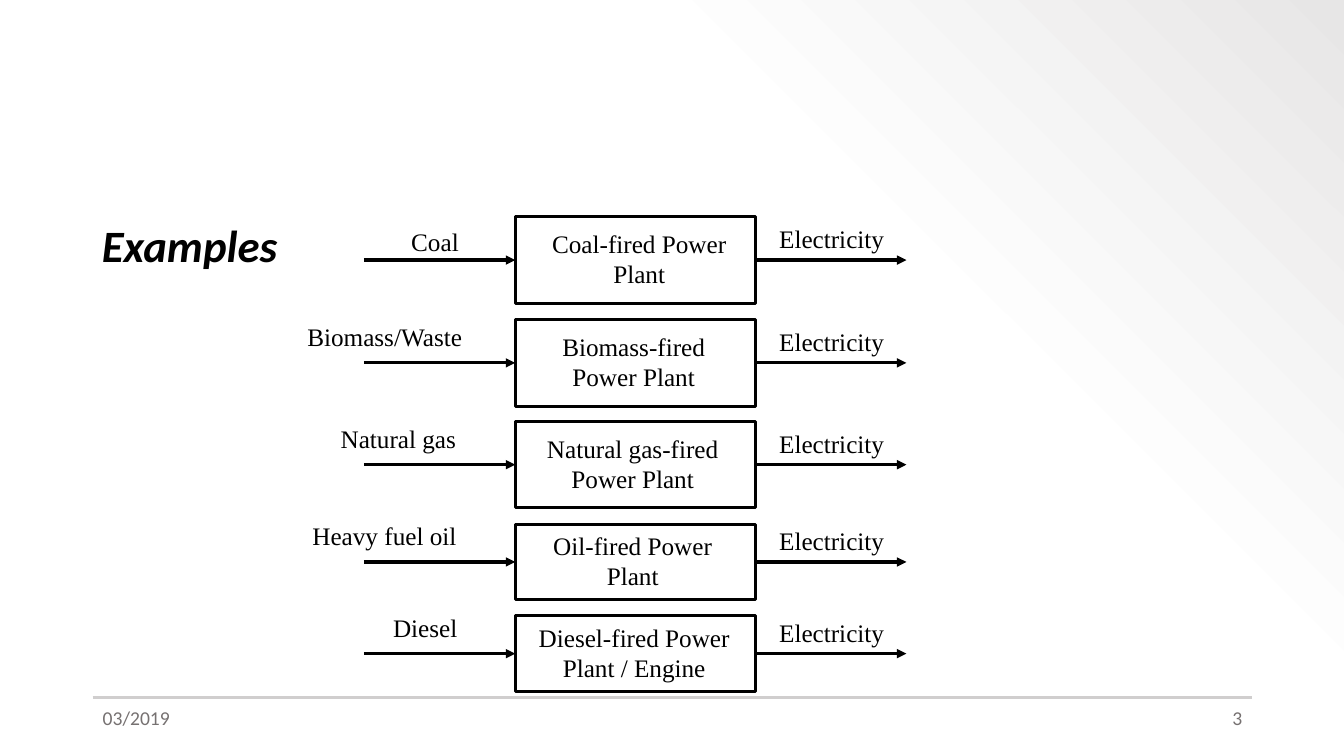
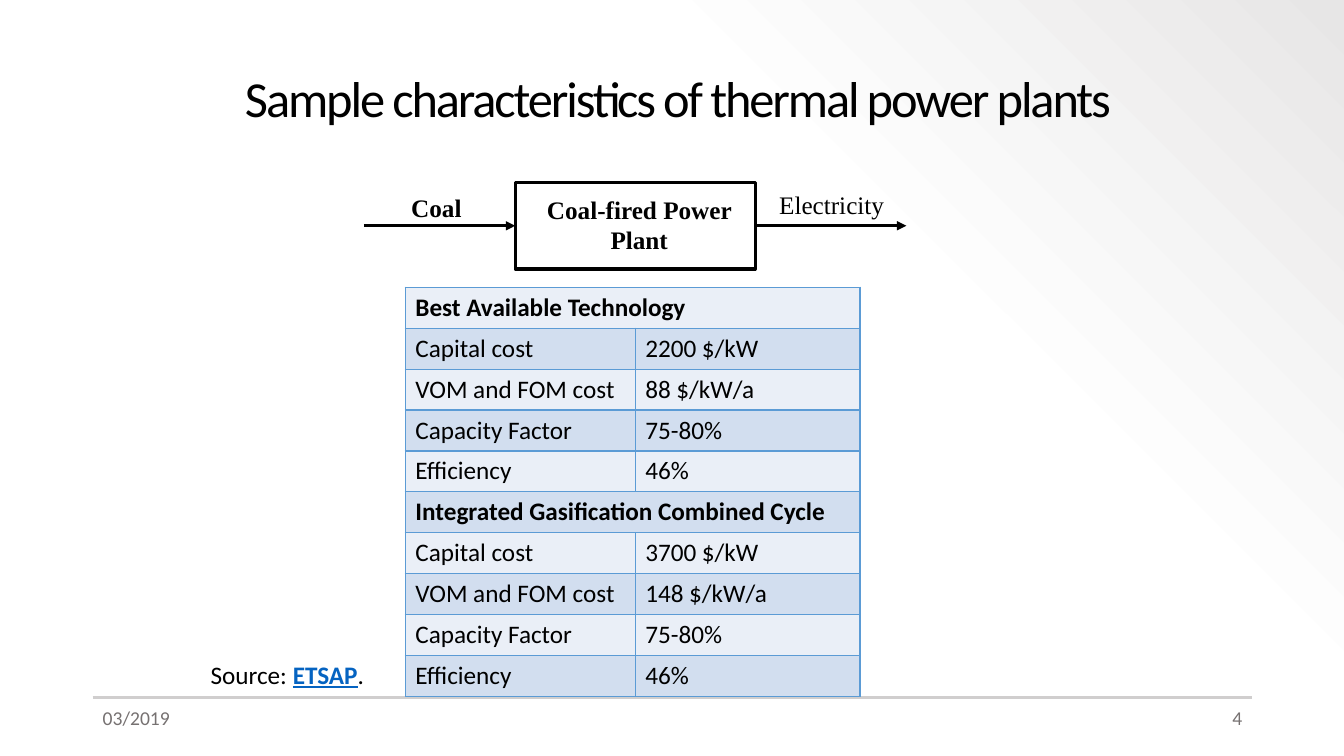
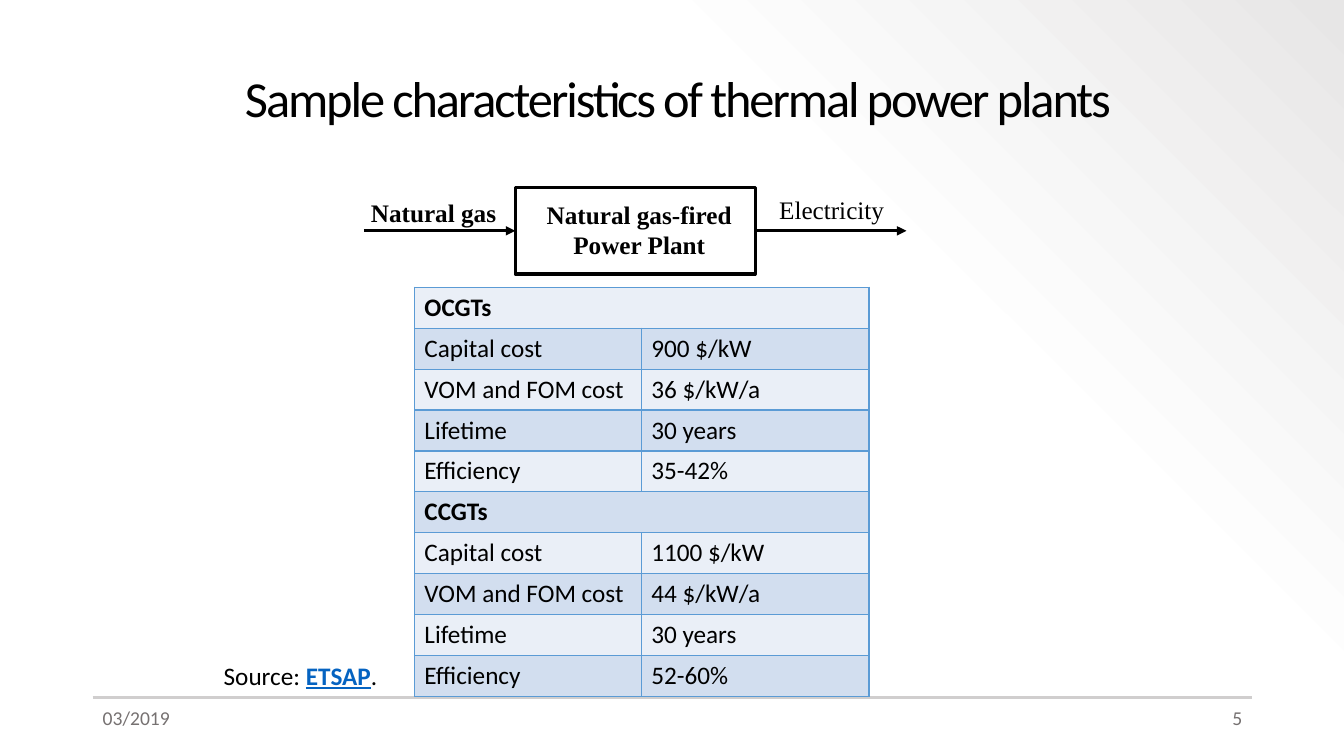
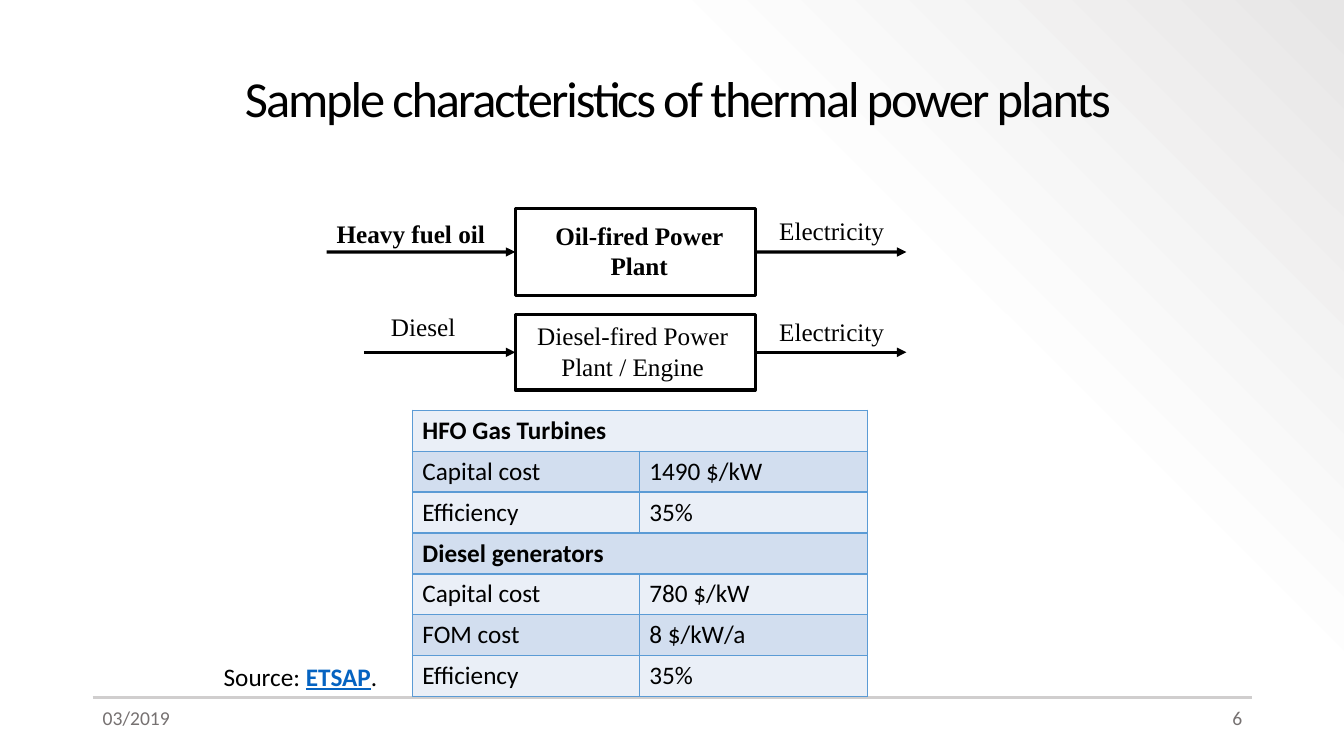
from dataclasses import dataclass

from lxml import etree
from pptx import Presentation
from pptx.dml.color import RGBColor
from pptx.enum.shapes import MSO_CONNECTOR, MSO_SHAPE
from pptx.enum.text import MSO_ANCHOR, MSO_AUTO_SIZE, PP_ALIGN
from pptx.oxml.ns import qn
from pptx.util import Inches, Pt

STRAIGHT = MSO_CONNECTOR.STRAIGHT
RECTANGLE = MSO_SHAPE.RECTANGLE
MIDDLE = MSO_ANCHOR.MIDDLE
NO_AUTOFIT = MSO_AUTO_SIZE.NONE
LEFT, CENTER, RIGHT = PP_ALIGN.LEFT, PP_ALIGN.CENTER, PP_ALIGN.RIGHT
TITLE_ONLY = 5
LEFT_SIDE, RIGHT_SIDE = 1, 3

COLORS = {
    "text": "000000",
    "footer": "767171",
    "rule": "D0CECE",
    "link": "0563C1",
    "border": "5B9BD5",
    "light_row": "EAEFF7",
    "dark_row": "D2DEEF",
}
# Position in percent, colour, opacity in percent
BACKGROUND_STOPS = [(0, "FFFFFF", 100), (69, "FDFDFD", 100), (100, "E7E6E6", 50)]
BODY_FONT, DIAGRAM_FONT = "Calibri", "Times New Roman"

PLANT_LEFT, PLANT_WIDTH = 5.11, 2.38
TALL, SHORT = 0.86, 0.75
ARROW_LENGTH = 1.5
OUTPUT_LEFT, OUTPUT_RISE = 7.63, 0.41
NEAR, FAR = 0.38, 0.46
TABLE_WIDTH = 4.51
TEN_ROWS_HEIGHT = 4.06


@dataclass(frozen=True)
class Flow:
    """A fuel turned into electricity by a plant."""
    fuel: str
    plant: str
    top: float
    fuel_left: float
    fuel_width: float
    height: float = TALL
    fuel_rise: float = NEAR
    inset: float = 0.28
    arrow_length: float = ARROW_LENGTH
    bold: bool = False


@dataclass(frozen=True)
class Technology:
    name: str
    figures: list[tuple[str, str]]


@dataclass(frozen=True)
class PlantSlide:
    flows: list[Flow]
    technologies: list[Technology]
    table_left: float
    table_top: float
    first_column: float
    source_left: float
    source_top: float


EXAMPLES = [
    Flow("Coal", "Coal-fired Power Plant", 2.15, 3.98, 0.75),
    Flow("Biomass/Waste", "Biomass-fired Power Plant", 3.17, 2.95, 1.77,
         fuel_rise=FAR, inset=0.17),
    Flow("Natural gas", "Natural gas-fired Power Plant", 4.18, 3.28, 1.77,
         fuel_rise=FAR, inset=0.15),
    Flow("Heavy fuel oil", "Oil-fired Power Plant", 5.2, 3, 2.35, SHORT, FAR, 0.15),
    Flow("Diesel", "Diesel-fired Power Plant / Engine", 6.11, 3.8, 1.23, SHORT, FAR, 0.18),
]

PLANT_SLIDES = [
    PlantSlide(
        [Flow("Coal", "Coal-fired Power Plant", 1.81, 3.98, 0.8, bold=True)],
        [Technology("Best Available Technology", [
            ("Capital cost", "2200 $/kW"), ("VOM and FOM cost", "88 $/kW/a"),
            ("Capacity Factor", "75-80%"), ("Efficiency", "46%")]),
         Technology("Integrated Gasification Combined Cycle", [
             ("Capital cost", "3700 $/kW"), ("VOM and FOM cost", "148 $/kW/a"),
             ("Capacity Factor", "75-80%"), ("Efficiency", "46%")])],
        4.02, 2.85, 2.28, 1.99, 6.49),
    PlantSlide(
        [Flow("Natural gas", "Natural gas-fired Power Plant", 1.86, 3.58, 1.52, bold=True)],
        [Technology("OCGTs", [
            ("Capital cost", "900 $/kW"), ("VOM and FOM cost", "36 $/kW/a"),
            ("Lifetime", "30 years"), ("Efficiency", "35-42%")]),
         Technology("CCGTs", [
             ("Capital cost", "1100 $/kW"), ("VOM and FOM cost", "44 $/kW/a"),
             ("Lifetime", "30 years"), ("Efficiency", "52-60%")])],
        4.11, 2.85, 2.25, 2.12, 6.5),
    PlantSlide(
        [Flow("Heavy fuel oil", "Oil-fired Power Plant", 2.07, 3.24, 1.75,
              arrow_length=1.87, bold=True),
         Flow("Diesel", "Diesel-fired Power Plant / Engine", 3.12, 3.78, 1.23,
              SHORT, FAR, 0.15)],
        [Technology("HFO Gas Turbines", [
            ("Capital cost", "1490 $/kW"), ("Efficiency", "35%")]),
         Technology("Diesel generators", [
             ("Capital cost", "780 $/kW"), ("FOM cost", "8 $/kW/a"),
             ("Efficiency", "35%")])],
        4.09, 4.07, 2.25, 2.12, 6.51),
]


def rgb(color: str) -> RGBColor:
    return RGBColor.from_string(COLORS[color])


def style(paragraph, size=18, font=BODY_FONT, color="text", bold=False, align=LEFT):
    paragraph.alignment = align
    paragraph.font.size = Pt(size)
    paragraph.font.name = font
    paragraph.font.bold = bold
    paragraph.font.color.rgb = rgb(color)


def add_text(slide, text: str, left: float, top: float, width: float, **look):
    box = slide.shapes.add_textbox(Inches(left), Inches(top), Inches(width), Inches(0.4))
    box.text_frame.word_wrap = True
    paragraph = box.text_frame.paragraphs[0]
    paragraph.text = text
    style(paragraph, **look)
    return paragraph


def add_line(slide, start: float, end: float, y: float, color="text", width=2.25, arrow=False):
    """Draw a level line from start to end."""
    line = slide.shapes.add_connector(
        STRAIGHT, Inches(start), Inches(y), Inches(end), Inches(y))
    line.line.color.rgb = rgb(color)
    line.line.width = Pt(width)
    properties = line._element.spPr
    if arrow:
        etree.SubElement(properties.find(qn("a:ln")), qn("a:tailEnd"), type="triangle")
    etree.SubElement(properties, qn("a:effectLst"))
    return line


def set_background(master):
    fill = master.background.fill
    fill.gradient()
    fill.gradient_angle = 45
    stops = next(master.element.iter(qn("a:gsLst")))
    for stop in list(stops):
        stops.remove(stop)
    for position, color, opacity in BACKGROUND_STOPS:
        stop = etree.SubElement(stops, qn("a:gs"), pos=str(position * 1000))
        tint = etree.SubElement(stop, qn("a:srgbClr"), val=color)
        if opacity < 100:
            etree.SubElement(tint, qn("a:alpha"), val=str(opacity * 1000))


def new_slide(prs, number: int):
    """Add a slide with its rule, date and number."""
    slide = prs.slides.add_slide(prs.slide_layouts[TITLE_ONLY])
    add_line(slide, 0.92, 12.42, 6.92, "rule", 1.5)
    add_text(slide, "03/2019", 0.92, 6.95, 1.3, size=14, color="footer")
    add_text(slide, str(number), 11.12, 6.95, 1.3, size=14, color="footer", align=RIGHT)
    return slide


def set_title(slide, text: str, left: float, top: float, width: float, height: float,
              size: int, bold=False, spacing=0.0):
    title = slide.shapes.title
    title.left, title.top = Inches(left), Inches(top)
    title.width, title.height = Inches(width), Inches(height)
    frame = title.text_frame
    frame.text = text
    frame.word_wrap = True
    frame.auto_size = NO_AUTOFIT
    frame.vertical_anchor = MIDDLE
    paragraph = frame.paragraphs[0]
    style(paragraph, size, bold=bold)
    paragraph.font.italic = bold
    paragraph.line_spacing = 0.9
    if spacing:
        paragraph.runs[0]._r.get_or_add_rPr().set("spc", str(int(spacing * 100)))


def add_flow(slide, flow: Flow):
    plant = slide.shapes.add_shape(
        RECTANGLE, Inches(PLANT_LEFT), Inches(flow.top),
        Inches(PLANT_WIDTH), Inches(flow.height))
    plant.shadow.inherit = False
    plant.fill.background()
    plant.line.color.rgb = rgb("text")
    plant.line.width = Pt(2.25)
    frame = plant.text_frame
    frame.word_wrap = True
    frame.vertical_anchor = MIDDLE
    frame.margin_left, frame.margin_right = Inches(flow.inset), Inches(0.2)
    frame.margin_top, frame.margin_bottom = 0, Inches(0.03)
    frame.text = flow.plant
    style(frame.paragraphs[0], font=DIAGRAM_FONT, bold=flow.bold, align=CENTER)

    middle = flow.top + flow.height / 2
    right = PLANT_LEFT + PLANT_WIDTH
    fuel_arrow = add_line(slide, PLANT_LEFT - flow.arrow_length, PLANT_LEFT, middle, arrow=True)
    fuel_arrow.end_connect(plant, LEFT_SIDE)
    output_arrow = add_line(slide, right, right + ARROW_LENGTH, middle, arrow=True)
    output_arrow.begin_connect(plant, RIGHT_SIDE)
    add_text(slide, flow.fuel, flow.fuel_left, middle - flow.fuel_rise, flow.fuel_width,
             font=DIAGRAM_FONT, bold=flow.bold)
    add_text(slide, "Electricity", OUTPUT_LEFT, middle - OUTPUT_RISE, 1.3, font=DIAGRAM_FONT)


def set_borders(cell):
    properties = cell._tc.get_or_add_tcPr()
    for index, side in enumerate(("lnL", "lnR", "lnT", "lnB")):
        border = etree.Element(qn(f"a:{side}"), w=str(Pt(1)))
        fill = etree.SubElement(border, qn("a:solidFill"))
        etree.SubElement(fill, qn("a:srgbClr"), val=COLORS["border"])
        properties.insert(index, border)


def add_figures(slide, content: PlantSlide):
    """Tabulate the figures of each technology under its name."""
    rows = []
    for technology in content.technologies:
        rows += [(technology.name,), *technology.figures]
    table = slide.shapes.add_table(
        len(rows), 2, Inches(content.table_left), Inches(content.table_top),
        Inches(TABLE_WIDTH), Inches(TEN_ROWS_HEIGHT * len(rows) / 10)).table
    table.first_row = table.horz_banding = False
    table.columns[0].width = Inches(content.first_column)
    table.columns[1].width = Inches(TABLE_WIDTH - content.first_column)
    for index, row in enumerate(rows):
        is_heading = len(row) == 1
        for column in range(2):
            cell = table.cell(index, column)
            cell.fill.solid()
            cell.fill.fore_color.rgb = rgb("dark_row" if index % 2 else "light_row")
            set_borders(cell)
        for column, text in enumerate(row):
            cell = table.cell(index, column)
            cell.text = text
            style(cell.text_frame.paragraphs[0], bold=is_heading)
        if is_heading:
            table.cell(index, 0).merge(table.cell(index, 1))


def add_source(slide, left: float, top: float):
    paragraph = add_text(slide, "Source: ", left, top, 1.78)
    publisher = paragraph.add_run()
    publisher.text = "ETSAP"
    publisher.font.bold = publisher.font.underline = True
    publisher.font.color.rgb = rgb("link")
    paragraph.add_run().text = "."


def main():
    prs = Presentation()
    prs.slide_width, prs.slide_height = Inches(13.33), Inches(7.5)
    set_background(prs.slide_master)

    examples = new_slide(prs, 3)
    set_title(examples, "Examples", 0.91, 1.74, 2.78, 1.45, 32, bold=True)
    for flow in EXAMPLES:
        add_flow(examples, flow)

    for number, content in enumerate(PLANT_SLIDES, start=4):
        slide = new_slide(prs, number)
        set_title(slide, "Sample characteristics of thermal power plants",
                  2.33, 0.4, 10.08, 1.2, 36, spacing=-1.5)
        for flow in content.flows:
            add_flow(slide, flow)
        add_figures(slide, content)
        add_source(slide, content.source_left, content.source_top)

    prs.save("out.pptx")


if __name__ == "__main__":
    main()
